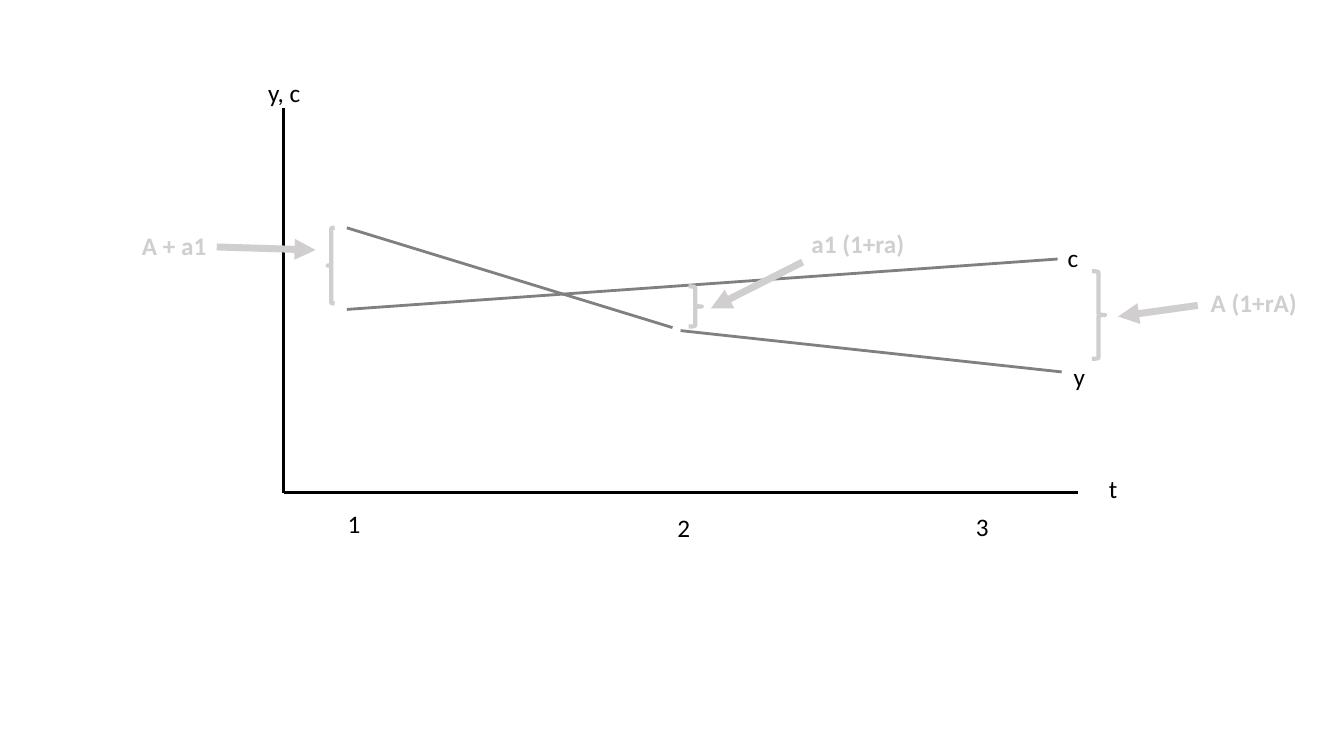
"""Draw income y and consumption c over three periods, with the savings gaps."""
from pptx import Presentation
from pptx import util as u
from pptx.dml.color import RGBColor
from pptx.enum import shapes, text
from pptx.oxml.ns import qn
from lxml import etree

PX = u.Inches(1) // 100
AXIS, CURVE, GAP = "000000", "808080", "D0CECE"
LABEL_HEIGHT = 40


def px(*lengths):
    """Turn px lengths into EMU."""
    return [length * PX for length in lengths]


def color(hex_code):
    """Return the colour of a hex string."""
    return RGBColor.from_string(hex_code)


def add_line(slide, start, end, hex_code, weight, arrow=False):
    """Draw a straight line, with an optional arrowhead at its end."""
    segment = slide.shapes.add_connector(
        shapes.MSO_CONNECTOR.STRAIGHT, *px(*start, *end))
    segment.line.color.rgb = color(hex_code)
    segment.line.width = u.Pt(weight)
    etree.SubElement(segment._element.spPr, qn("a:effectLst"))
    if arrow:
        etree.SubElement(segment.line._get_or_add_ln(), qn("a:tailEnd"), type="triangle")


def add_label(slide, wording, left, top, width, hex_code=AXIS, bold=False):
    """Write a one-line label."""
    label = slide.shapes.add_textbox(*px(left, top, width, LABEL_HEIGHT))
    frame = label.text_frame
    frame.word_wrap = True
    frame.auto_size = text.MSO_AUTO_SIZE.SHAPE_TO_FIT_TEXT
    run = frame.paragraphs[0].add_run()
    run.text = wording
    run.font.color.rgb = color(hex_code)
    style = {"name": "Calibri", "size": u.Pt(18), "bold": bold}
    for key, value in style.items():
        setattr(run.font, key, value)


def add_brace(slide, left, top, width, height, rotation):
    """Draw a brace that marks the gap between two curves."""
    brace = slide.shapes.add_shape(
        shapes.MSO_SHAPE.LEFT_BRACE, *px(left, top, width, height))
    brace.rotation = rotation
    brace.shadow.inherit = False
    brace.fill.background()
    brace.line.color.rgb = color(GAP)
    brace.line.width = u.Pt(3)


def add_gap(slide, brace, rotation, arrow, label):
    """Mark a gap with a brace, an arrow and a bold label."""
    add_brace(slide, *brace, rotation)
    add_line(slide, *arrow, GAP, 5, arrow=True)
    add_label(slide, *label, GAP, bold=True)


def main():
    """Build the slide and save it."""
    deck = Presentation()
    deck.slide_width, deck.slide_height = px(1333, 750)
    slide = deck.slides.add_slide(deck.slide_layouts[6])

    for start, end, hex_code in (
        ((281, 107), (281, 489), AXIS),
        ((1069, 489), (282, 489), AXIS),
        ((344, 307), (1049, 257), CURVE),
        ((344, 226), (667, 325), CURVE),
        ((675, 328), (1053, 369), CURVE),
    ):
        add_line(slide, start, end, hex_code, 2)

    for wording, left, top in (
        ("y, c", 256, 72), ("t", 1090, 465), ("y", 1055, 354), ("c", 1049, 235),
    ):
        add_label(slide, wording, left, top, 172)
    for period, left, top in (("1", 335, 499), ("2", 662, 503), ("3", 958, 502)):
        add_label(slide, period, left, top, 48)

    for brace, rotation, arrow, label in (
        ((325, 226, 7, 75), 0, ((215, 245), (313, 248)), ("A + a1", 131, 224, 91)),
        ((1083, 269, 13, 87), 180, ((1188, 303), (1109, 314)), ("A (1+rA)", 1191, 280, 113)),
        ((683, 284, 13, 40), 180, ((796, 260), (705, 306)), ("a1 (1+ra)", 795, 222, 152)),
    ):
        add_gap(slide, brace, rotation, arrow, label)

    deck.save("out.pptx")


if __name__ == "__main__":
    main()
